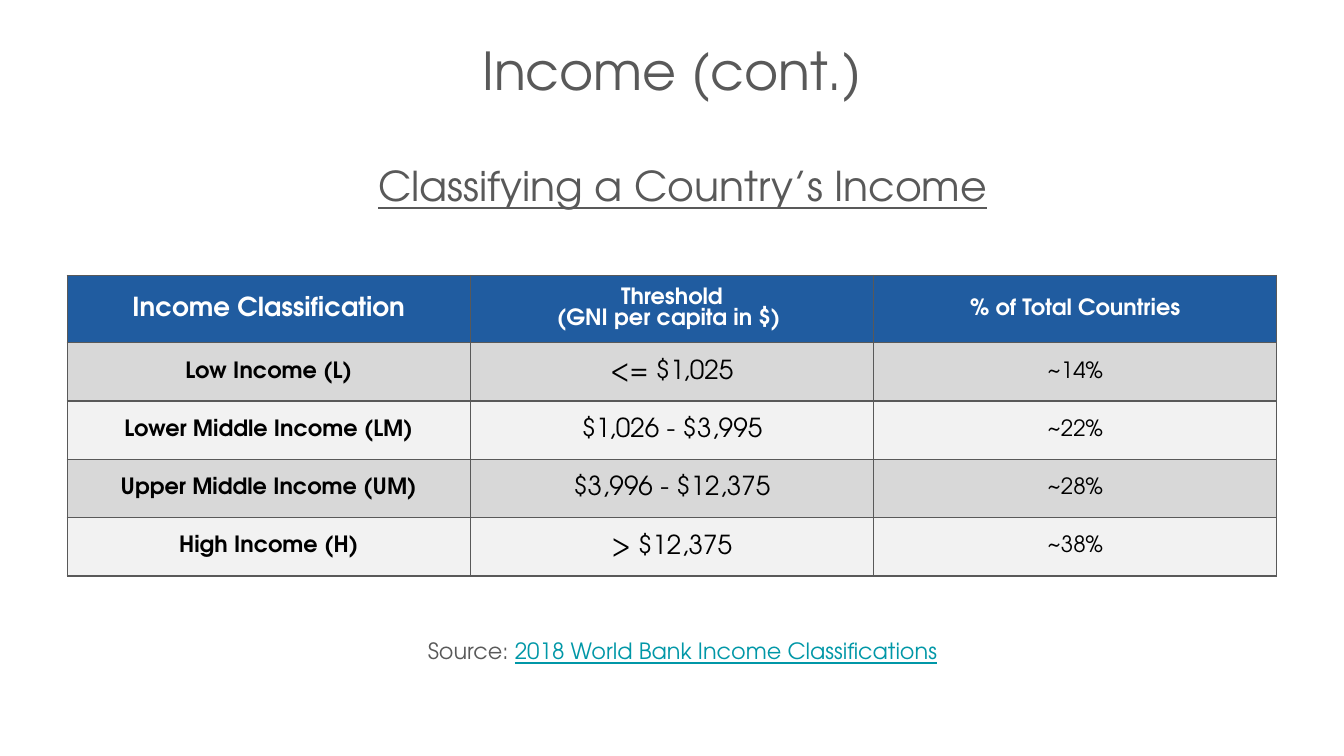
from lxml.etree import SubElement
from pptx import Presentation
from pptx.dml.color import RGBColor
from pptx.enum.text import MSO_ANCHOR, PP_ALIGN
from pptx.oxml.ns import qn
from pptx.util import Inches, Pt

GRAY, WHITE, BLACK = "595959", "FFFFFF", "000000"
BLUE, TEAL = "205CA0", "0097A7"
BANDS = ("D8D8D8", "F2F2F2")

HEADER = ("Income Classification", "Threshold\n(GNI per capita in $) ", "% of Total Countries")
CLASSES = [
    ("Low Income (L)", "<= $1,025", "~14%"),
    ("Lower Middle Income (LM)", "$1,026 - $3,995", "~22%"),
    ("Upper Middle Income (UM)", "$3,996 - $12,375", "~28%"),
    ("High Income (H)", "> $12,375", "~38%"),
]


def rgb(value):
    return RGBColor.from_string(value)


def add_run(p, text, size=12, color=GRAY, bold=False, underline=False):
    r = p.add_run()
    r.text = text
    r.font.name = "TeX Gyre Adventor"
    r.font.size = Pt(size)
    r.font.color.rgb = rgb(color)
    r.font.bold = bold
    r.font.underline = underline


class SlideBuilder:
    def __init__(self, prs):
        self.s = prs.slides.add_slide(prs.slide_layouts[6])

    def text(self, top, height, runs, body=True):
        box = self.s.shapes.add_textbox(Inches(0.5), Inches(top), Inches(9), Inches(height))
        tf = box.text_frame
        tf.word_wrap = True
        tf.margin_left = tf.margin_right = 0
        tf.margin_top = tf.margin_bottom = Inches(0 if body else 0.05)
        tf.vertical_anchor = MSO_ANCHOR.TOP if body else MSO_ANCHOR.BOTTOM
        p = tf.paragraphs[0]
        p.alignment = PP_ALIGN.CENTER
        if body:
            p.line_spacing = 1.15
            p.space_before = Pt(10)
            pPr = p._p.get_or_add_pPr()
            pPr.set("marL", str(Inches(0.31)))
            pPr.set("indent", str(Inches(-0.15)))
        for text, style in runs:
            add_run(p, text, **style)

    def cell(self, cell, text, fill, borders, size, margin=0.05, **style):
        cell.vertical_anchor = MSO_ANCHOR.MIDDLE
        cell.margin_left = cell.margin_right = Inches(0.1)
        cell.margin_top = cell.margin_bottom = Inches(margin)
        tf = cell.text_frame
        for i, line in enumerate(text.split("\n")):
            p = tf.add_paragraph() if i else tf.paragraphs[0]
            p.alignment = PP_ALIGN.CENTER
            p.font.size = Pt(size)
            add_run(p, line, size=size, **style)
            end = SubElement(p._p, qn("a:endParaRPr"), sz=str(size * 100))
            SubElement(end, qn("a:latin"), typeface="TeX Gyre Adventor")
        tcPr = cell._tc.get_or_add_tcPr()
        for side, width in zip("LRTB", borders):
            ln = SubElement(tcPr, qn(f"a:ln{side}"), w=str(Pt(width)))
            SubElement(SubElement(ln, qn("a:solidFill")), qn("a:srgbClr"), val=GRAY)
        cell.fill.solid()
        cell.fill.fore_color.rgb = rgb(fill)

    def table(self, top, col_width, row_height, rows):
        n_rows, n_cols = len(rows), len(rows[0])
        table = self.s.shapes.add_table(
            n_rows, n_cols, Inches(0.5), Inches(top),
            Inches(col_width * n_cols), Inches(row_height * n_rows)).table
        for col in table.columns:
            col.width = Inches(col_width)
        for i, row in enumerate(rows):
            table.rows[i].height = Inches(row_height)
            for j, text in enumerate(row):
                header, middle = i == 0, j == 1
                left = 1 if not header and j > 0 else 0.75
                right = 1 if not header and j < 2 else 0.75
                upper = 1 if middle and i > 1 else 0.75
                lower = 1 if middle and not header else 0.75
                self.cell(
                    table.cell(i, j), text,
                    BLUE if header else BANDS[(i - 1) % 2],
                    (left, right, upper, lower),
                    size=14 if header and j == 0 or middle and not header else 12,
                    margin=0.1 if middle and not header else 0.05,
                    color=WHITE if header else BLACK,
                    bold=header or j == 0)


def main():
    prs = Presentation()
    prs.slide_width = Inches(10)
    prs.slide_height = prs.slide_width * 9 // 16
    slide = SlideBuilder(prs)
    slide.text(0.23, 0.57, [("Income (cont.)", {"size": 28})], body=False)
    slide.table(2.05, 3, 0.42, [HEADER, *CLASSES])
    slide.text(4.71, 0.42, [
        ("Source: ", {}),
        ("2018 World Bank Income Classifications", {"color": TEAL, "underline": True})])
    slide.text(1.14, 0.57, [("Classifying a Country’s Income", {"size": 22, "underline": True})])
    prs.save("out.pptx")


if __name__ == "__main__":
    main()
